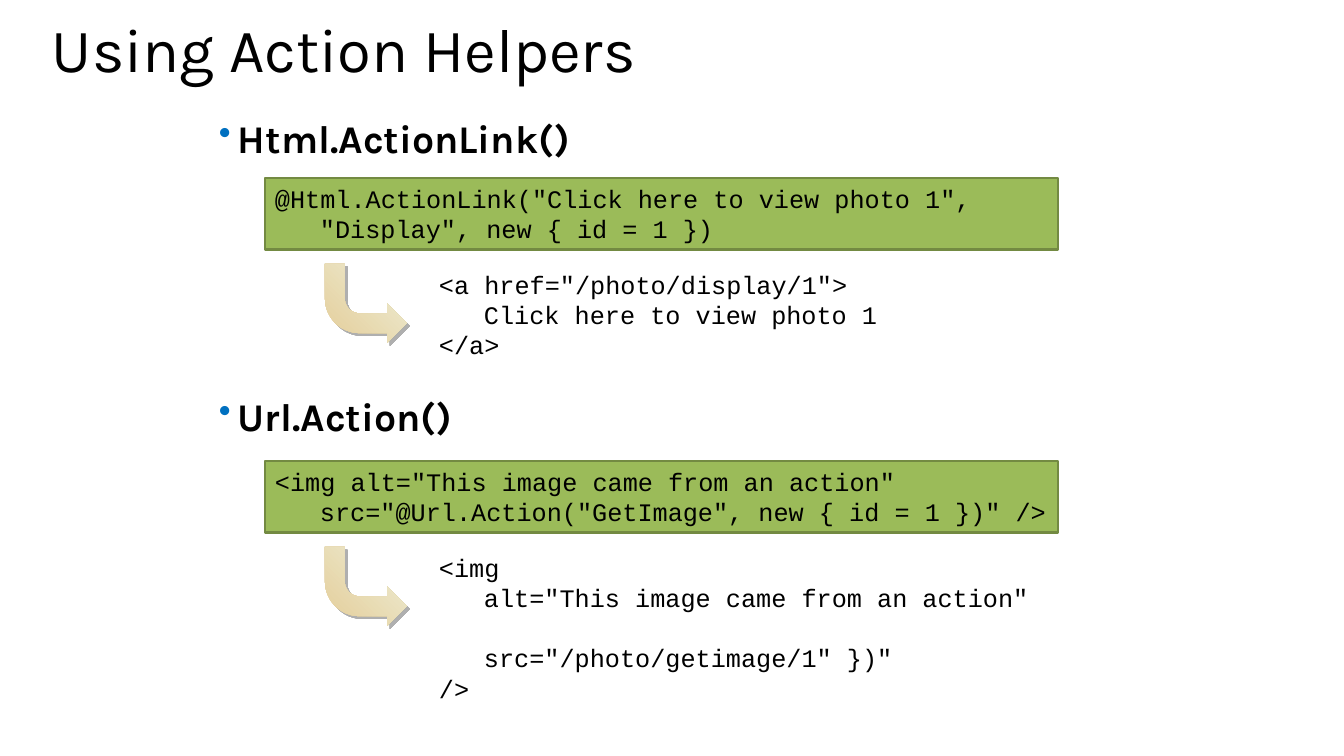
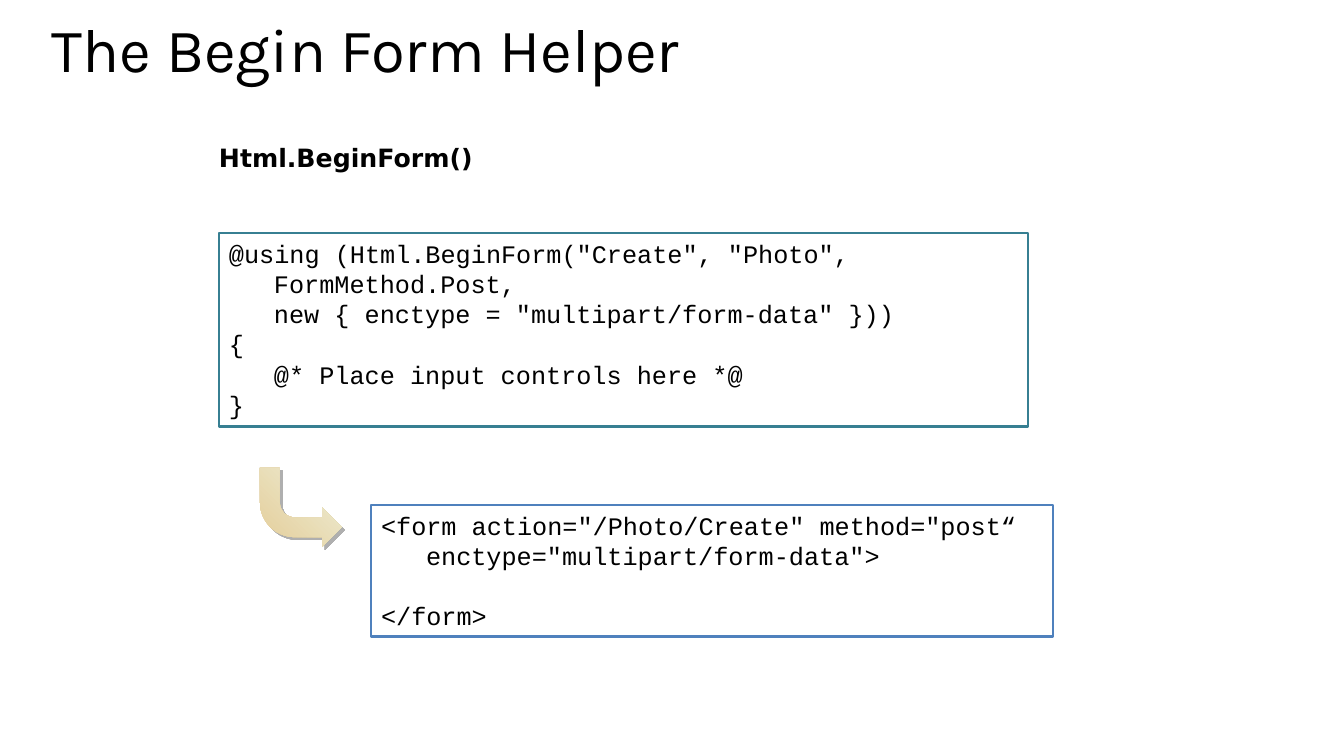
"""Build two slides that show view helpers and the markup they produce."""
from lxml.etree import SubElement
from pptx import Presentation
from pptx.dml.color import RGBColor
from pptx.enum.shapes import MSO_SHAPE as Shape
from pptx.enum.text import MSO_ANCHOR as Anchor, PP_ALIGN as Align
from pptx.oxml.ns import qn
from pptx.util import Pt

PX = 914400 / 100.8
BLACK = RGBColor(0x00, 0x00, 0x00)
WHITE = RGBColor(0xFF, 0xFF, 0xFF)
GREEN = RGBColor(0x9B, 0xBB, 0x59)
DARK_GREEN = RGBColor(0x73, 0x8A, 0x42)
TEAL = RGBColor(0x37, 0x7F, 0x92)
BLUE = RGBColor(0x4F, 0x81, 0xBD)
SAND = RGBColor(0xE4, 0xCD, 0x9A)
CREAM = RGBColor(0xEE, 0xEF, 0xD7)
BULLET_COLOR = "0070C0"
SHADOW_COLOR = "AFAFAF"

TITLE = {"name": "Karla", "size": Pt(44), "bold": False}
HEADING = {"name": "Karla", "size": Pt(28), "bold": True}
SMALL_HEADING = {"name": "DejaVu Sans", "size": Pt(18), "bold": True}
CODE = {"name": "Courier New", "size": Pt(18), "bold": False}

TITLE_BOX = (42, 20, 1270, 127)
ARROW_SIZE = (82, 79)
CODE_INDENT = 45
BULLET_INDENT = 19
CODE_PITCH = Pt(21.6)

# Code lines are (text, indent steps, empty lines above).
SLIDES = [
    {
        "title": "Using Action Helpers",
        "headings": [
            ("Html.ActionLink()", (219, 114, 895, 50), HEADING, True),
            ("Url.Action()", (219, 392, 895, 50), HEADING, True),
        ],
        "code": [
            ((265, 178, 793, 72), GREEN, DARK_GREEN, [
                ('@Html.ActionLink("Click here to view photo 1",', 0, 0),
                ('"Display", new { id = 1 })', 1, 0)]),
            ((429, 264, 511, 102), None, None, [
                ('<a href="/photo/display/1">', 0, 0),
                ("Click here to view photo 1", 1, 0),
                ("</a>", 0, 0)]),
            ((265, 461, 793, 72), GREEN, DARK_GREEN, [
                ('<img alt="This image came from an action"', 0, 0),
                ('src="@Url.Action("GetImage", new { id = 1 })" />', 1, 0)]),
            ((429, 547, 633, 132), None, None, [
                ("<img", 0, 0),
                ('alt="This image came from an action"', 1, 0),
                ('src="/photo/getimage/1" })"', 1, 1),
                ("/>", 0, 0)]),
        ],
        "arrows": [(325, 264), (325, 547)],
    },
    {
        "title": "The Begin Form Helper",
        "headings": [
            ("Html.BeginForm()", (219, 142, 895, 70), SMALL_HEADING, False),
        ],
        "code": [
            ((219, 233, 809, 194), WHITE, TEAL, [
                ('@using (Html.BeginForm("Create", "Photo",', 0, 0),
                ("FormMethod.Post,", 1, 0),
                ('new { enctype = "multipart/form-data" }))', 1, 0),
                ("{", 0, 0),
                ("@* Place input controls here *@", 1, 0),
                ("}", 0, 0)]),
            ((371, 505, 682, 132), WHITE, BLUE, [
                ('<form action="/Photo/Create" method="post“', 0, 0),
                ('enctype="multipart/form-data">', 1, 0),
                ("</form>", 0, 1)]),
        ],
        "arrows": [(260, 468)],
    },
]


def emu(*lengths):
    return [round(length * PX) for length in lengths]


def set_indent(paragraph, margin, first_line=0):
    properties = paragraph._p.get_or_add_pPr()
    for name, length in zip(("marL", "indent"), emu(margin, first_line)):
        properties.set(name, str(length))
    return properties


def add_bullet(paragraph):
    properties = set_indent(paragraph, BULLET_INDENT, -BULLET_INDENT)
    color = SubElement(properties, qn("a:buClr"))
    SubElement(color, qn("a:srgbClr"), val=BULLET_COLOR)
    SubElement(properties, qn("a:buSzPct"), val="90000")
    SubElement(properties, qn("a:buChar"), char="•")


def write(paragraph, text, style):
    paragraph.alignment = Align.LEFT
    run = paragraph.add_run()
    run.text = text
    for name, value in style.items():
        setattr(run.font, name, value)
    run.font.color.rgb = BLACK


def prepare_frame(shape, side=10, top=5):
    frame = shape.text_frame
    frame.word_wrap = True
    frame.vertical_anchor = Anchor.TOP
    frame.margin_left, frame.margin_right = emu(side, side)
    frame.margin_top, frame.margin_bottom = emu(top, top)
    return frame


def add_title(slide, text):
    frame = prepare_frame(slide.shapes.add_textbox(*emu(*TITLE_BOX)))
    paragraph = frame.paragraphs[0]
    paragraph.line_spacing = 0.8
    write(paragraph, text, TITLE)


def add_heading(slide, text, box, style, bulleted):
    frame = prepare_frame(slide.shapes.add_textbox(*emu(*box)), 0, 0)
    paragraph = frame.paragraphs[0]
    write(paragraph, text, style)
    if bulleted:
        add_bullet(paragraph)


def add_code(slide, box, fill, border, lines):
    if fill is None:
        shape = slide.shapes.add_textbox(*emu(*box))
    else:
        shape = slide.shapes.add_shape(Shape.RECTANGLE, *emu(*box))
        shape.shadow.inherit = False
        shape.fill.solid()
        shape.fill.fore_color.rgb = fill
        shape.line.color.rgb = border
        shape.line.width = Pt(2)
    frame = prepare_frame(shape)
    for index, (text, steps, empty_lines) in enumerate(lines):
        paragraph = frame.add_paragraph() if index else frame.paragraphs[0]
        paragraph.line_spacing = CODE_PITCH
        paragraph.space_before = CODE_PITCH * empty_lines
        set_indent(paragraph, steps * CODE_INDENT)
        write(paragraph, text, CODE)


def add_arrow(slide, corner):
    arrow = slide.shapes.add_shape(Shape.BENT_ARROW, *emu(*corner, *ARROW_SIZE))
    arrow.line.fill.background()
    arrow.fill.gradient()
    arrow.fill.gradient_angle = 315
    for stop, position, color in zip(arrow.fill.gradient_stops, (0, 1), (SAND, CREAM)):
        stop.position = position
        stop.color.rgb = color
    arrow.shadow.inherit = False
    properties = arrow._element.spPr
    properties.find(qn("a:xfrm")).set("flipV", "1")
    shadow = SubElement(properties.find(qn("a:effectLst")), qn("a:outerShdw"),
                        blurRad="0", dist=str(Pt(2.8)), dir="2700000",
                        algn="ctr", rotWithShape="0")
    SubElement(shadow, qn("a:srgbClr"), val=SHADOW_COLOR)


def main():
    presentation = Presentation()
    presentation.slide_width, presentation.slide_height = emu(1344, 756)
    for content in SLIDES:
        slide = presentation.slides.add_slide(presentation.slide_layouts[6])
        add_title(slide, content["title"])
        for heading in content["headings"]:
            add_heading(slide, *heading)
        for code in content["code"]:
            add_code(slide, *code)
        for corner in content["arrows"]:
            add_arrow(slide, corner)
    presentation.save("out.pptx")


if __name__ == "__main__":
    main()
